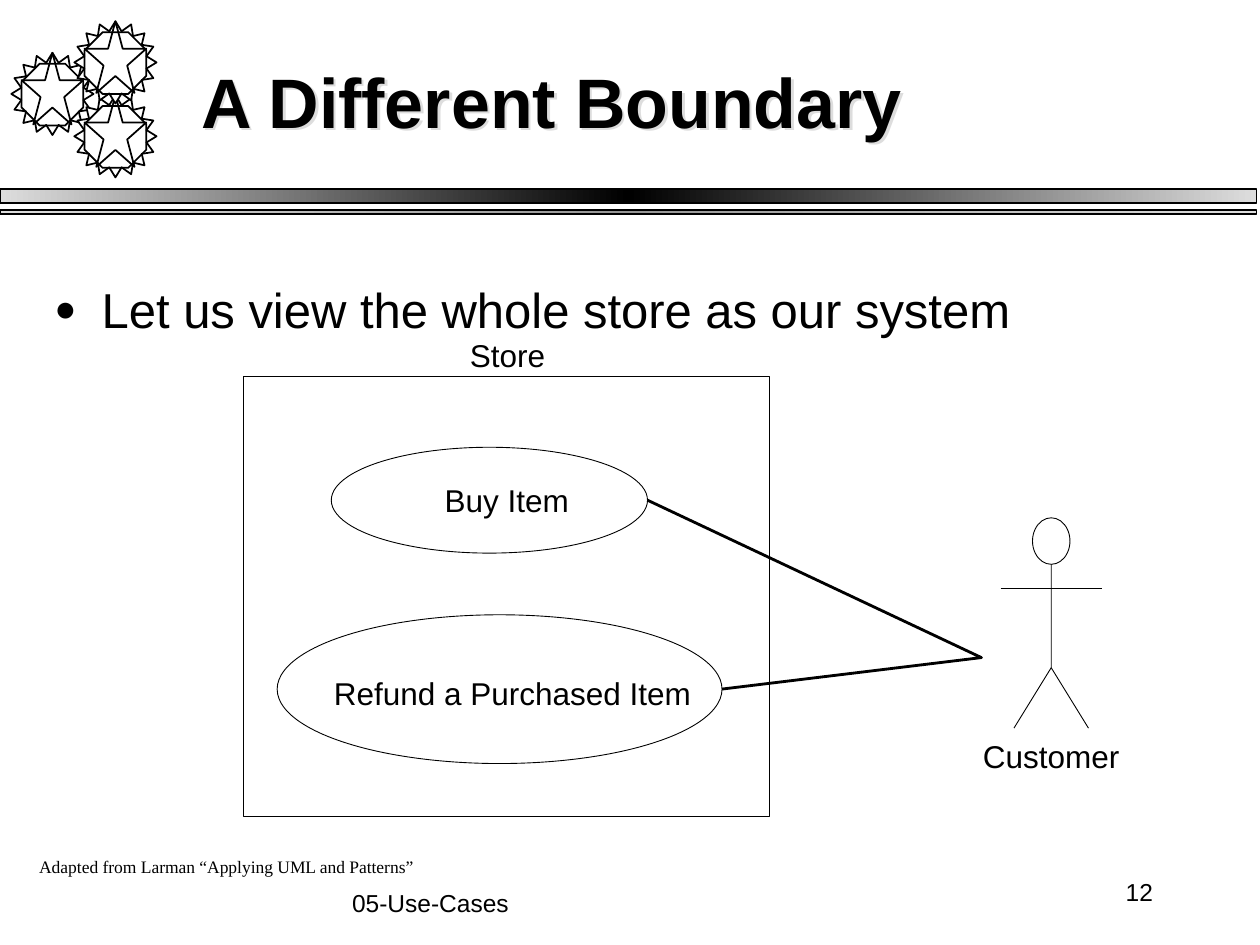
from copy import deepcopy
from dataclasses import dataclass
from lxml import etree
from pptx import Presentation
from pptx.dml.color import RGBColor
from pptx.enum.shapes import MSO_SHAPE
from pptx.enum.text import MSO_ANCHOR, MSO_AUTO_SIZE, PP_ALIGN
from pptx.oxml.ns import qn
from pptx.util import Pt

RECTANGLE, OVAL = MSO_SHAPE.RECTANGLE, MSO_SHAPE.OVAL
GEAR, STAR, OCTAGON = MSO_SHAPE.STAR_16_POINT, MSO_SHAPE.STAR_5_POINT, MSO_SHAPE.OCTAGON
TOP, MIDDLE = MSO_ANCHOR.TOP, MSO_ANCHOR.MIDDLE
LEFT, CENTER, RIGHT = PP_ALIGN.LEFT, PP_ALIGN.CENTER, PP_ALIGN.RIGHT
FIT_SHAPE, NO_FIT = MSO_AUTO_SIZE.SHAPE_TO_FIT_TEXT, MSO_AUTO_SIZE.NONE


@dataclass(frozen=True)
class Theme:
    ink: str = "000000"
    paper: str = "FFFFFF"
    edge: str = "DDDDDD"
    gray: str = "969696"
    sans: str = "Arial"
    serif: str = "Times New Roman"
    title: int = 40
    body: int = 28
    label: int = 18
    footer: int = 14
    credit: int = 10
    thin: float = 0.51
    medium: float = 0.99
    thick: float = 1.62


THEME = Theme()


def color(value):
    return RGBColor.from_string(value)


def style(shape, fill=None, line=None):
    shape.shadow.inherit = False
    if fill:
        shape.fill.solid()
        shape.fill.fore_color.rgb = color(fill)
    else:
        shape.fill.background()
    if line:
        shape.line.color.rgb = color(THEME.ink)
        shape.line.width = Pt(line)
    else:
        shape.line.fill.background()
    return shape


def add_preset(page, kind, box, fill=None, line=None, adjust=None):
    shape = page.shapes.add_shape(kind, *map(Pt, box))
    if adjust is not None:
        shape.adjustments[0] = adjust
    return style(shape, fill, line)


def add_path(page, strokes, line):
    strokes = [[(Pt(x), Pt(y)) for x, y in stroke] for stroke in strokes]
    builder = page.shapes.build_freeform(*strokes[0][0], scale=1.0)
    for number, stroke in enumerate(strokes):
        if number:
            builder.move_to(*stroke[0])
        builder.add_line_segments(stroke[1:], close=False)
    return style(builder.convert_to_shape(), line=line)


def add_text(page, text, box, size=THEME.label, font=THEME.sans, bold=False,
             align=LEFT, anchor=TOP, wrap=True, inset=True, grow=False):
    shape = page.shapes.add_textbox(*map(Pt, box))
    frame = shape.text_frame
    frame.word_wrap = wrap
    frame.auto_size = FIT_SHAPE if grow else NO_FIT
    frame.vertical_anchor = anchor
    frame.margin_left = frame.margin_right = Pt(7.2 if inset else 0)
    frame.margin_top = frame.margin_bottom = Pt(3.6 if inset else 0)
    para = frame.paragraphs[0]
    para.alignment = align
    span = para.add_run()
    span.text = text
    span.font.size = Pt(size)
    span.font.name = font
    span.font.bold = bold
    span.font.color.rgb = color(THEME.ink)
    return shape


def add_label(page, text, box):
    add_text(page, text, box, wrap=False, inset=False, grow=True)


def add_shadow(shape):
    shape.shadow.inherit = False
    effects = shape._element.spPr.find(qn("a:effectLst"))
    shadow = etree.SubElement(effects, qn("a:outerShdw"), dist=str(Pt(2)), dir="2700000",
                              algn="tl", rotWithShape="0")
    etree.SubElement(shadow, qn("a:srgbClr"), val=THEME.edge)


def add_bullet(para, indent):
    props = para._p.get_or_add_pPr()
    props.set("marL", str(Pt(indent)))
    props.set("indent", str(-Pt(indent)))
    tint = etree.SubElement(props, qn("a:buClr"))
    etree.SubElement(tint, qn("a:srgbClr"), val=THEME.ink)
    etree.SubElement(props, qn("a:buSzPct"), val="75000")
    etree.SubElement(props, qn("a:buFont"), typeface=THEME.sans)
    etree.SubElement(props, qn("a:buChar"), char="●")


def add_band(page, box, middle):
    band = add_preset(page, RECTANGLE, box, line=THEME.medium)
    band.fill.gradient()
    band.fill.gradient_angle = 0
    first = band._element.spPr.find(qn("a:gradFill")).find(qn("a:gsLst"))[0]
    first.addnext(deepcopy(first))
    for stop, place, value in zip(band.fill.gradient_stops, (0, 0.5, 1),
                                  (THEME.edge, middle, THEME.edge)):
        stop.position = place
        stop.color.rgb = color(value)


def add_gear(page, left, top):
    add_preset(page, GEAR, (left, top, 47, 47), THEME.paper, THEME.medium, 0.385)
    add_preset(page, STAR, (left + 5.8, top, 35.3, 41), THEME.paper, THEME.medium)
    add_preset(page, OCTAGON, (left + 5.8, top + 6.2, 35.3, 35.3), line=THEME.medium, adjust=0.293)


def add_header(page, left, top, width):
    add_band(page, (left, top + 108, width, 7.9), THEME.ink)
    add_band(page, (left, top + 120.2, width, 2), THEME.gray)
    for across, down in ((6.5, 30.2), (42.5, 54.4), (42.5, 12.2)):
        add_gear(page, left + across, top + down)
    title = add_text(page, "A Different Boundary", (left + 108, top + 12.2, 612, 90),
                     size=THEME.title, bold=True, anchor=MIDDLE)
    add_shadow(title)


def add_actor(page, left, top, width, height):
    center, bottom = left + width / 2, top + height
    neck, arms, hip = top + 26.6, top + 40.3, top + 85.7
    add_preset(page, OVAL, (center - 10.7, top, 21.4, 26.6), THEME.paper, THEME.thin)
    add_path(page, [[(left, arms), (left + width, arms)],
                    [(center, hip), (center + 21.3, bottom)],
                    [(center, neck), (center, hip), (center - 21.3, bottom)]], THEME.thin)
    add_label(page, "Customer", (center - 39, bottom + 5, 82, 21.6))


def add_use_case(page, text, box, text_box):
    left, top, width, height = box
    add_preset(page, OVAL, box, THEME.paper, THEME.thin)
    add_label(page, text, text_box)
    return left + width, top + height / 2


def add_diagram(page, left, top, width, height):
    add_preset(page, RECTANGLE, (left, top, width, height), THEME.paper)
    add_actor(page, left + 433.6, top + 103.7, 57.8, 120.2)
    ports = [
        add_use_case(page, text, (left + x, top + y, w, h), (left + tx, top + ty, tw, 21.6))
        for text, (x, y, w, h), (tx, ty, tw) in (
            ("Buy Item", (51.1, 63.4, 180.7, 60.5), (115.9, 82.8, 74)),
            ("Refund a Purchased Item", (20.2, 159.1, 254.2, 85), (52.6, 193, 208)),
        )
    ]
    add_preset(page, RECTANGLE, (left + 0.7, top + 23, 301, 251.3), line=THEME.thin)
    add_label(page, "Store", (left + 130.3, top, 46, 21.6))
    add_path(page, [[ports[0], (left + 422.6, top + 183.6), ports[1]]], THEME.thick)


def add_body(page, box):
    shape = add_text(page, "Let us view the whole store as our system", box, size=THEME.body)
    para = shape.text_frame.paragraphs[0]
    para.space_before = Pt(7)
    add_bullet(para, 27)


def add_footer(page, left, top):
    add_text(page, "Adapted from Larman “Applying UML and Patterns”",
             (left, top, 258.5, 19.4), size=THEME.credit, font=THEME.serif,
             align=CENTER, anchor=MIDDLE, grow=True)
    add_text(page, "05-Use-Cases", (left + 42, top + 18.7, 408, 36),
             size=THEME.footer, align=CENTER)
    add_text(page, "12", (left + 516, top + 6.5, 150, 36),
             size=THEME.footer, align=RIGHT, anchor=MIDDLE)


deck = Presentation()
deck.slide_width, deck.slide_height = Pt(720), Pt(540)
page = deck.slides.add_slide(deck.slide_layouts[6])
page.background.fill.solid()
page.background.fill.fore_color.rgb = color(THEME.paper)
add_header(page, 0, 0, 718)
add_diagram(page, 138.2, 192.2, 545.8, 317.5)
add_body(page, (24, 156, 666, 42))
add_footer(page, 0, 485.3)
deck.save("out.pptx")
